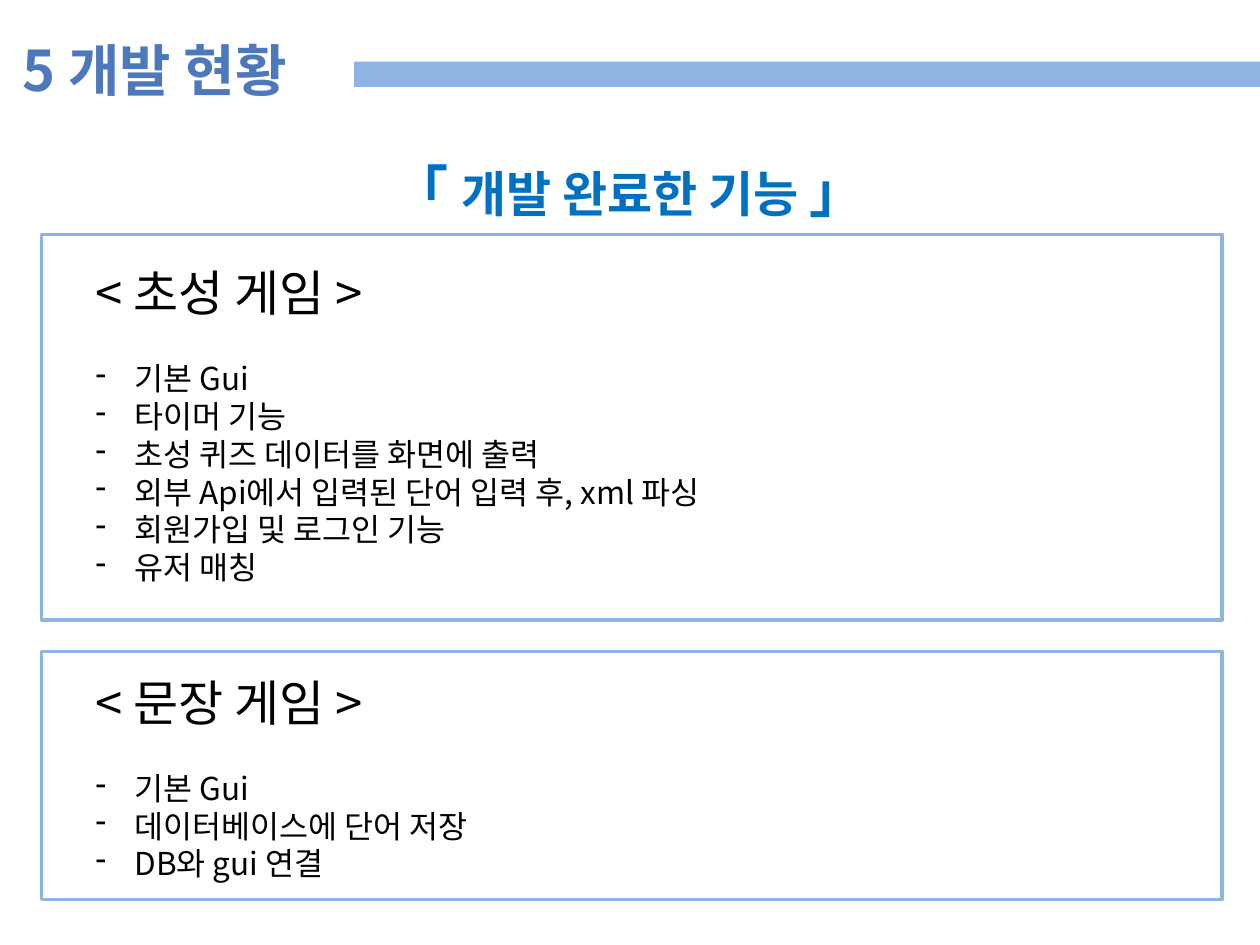
from pptx import Presentation
from pptx.dml.color import RGBColor
from pptx.enum.shapes import MSO_SHAPE
from pptx.enum.text import PP_ALIGN
from pptx.oxml.ns import qn
from pptx.util import Inches, Pt
from lxml.etree import SubElement

FONT = "Noto Sans CJK KR"
WIDE, HIGH = 10, 7.5
EDGE, SPAN = 0.33, 9.37
PALE, BLUE, DEEP, BLACK = "8EB4E3", "4D79BC", "0070C0", "000000"
GAMES = [
    (1.86, 3.06, 0.17, "< 초성 게임 >", [
        "기본 Gui",
        "타이머 기능",
        "초성 퀴즈 데이터를 화면에 출력",
        "외부 Api에서 입력된 단어 입력 후, xml 파싱",
        "회원가입 및 로그인 기능",
        "유저 매칭",
    ]),
    (5.17, 1.97, 0.11, "< 문장 게임 >", [
        "기본 Gui",
        "데이터베이스에 단어 저장",
        "DB와 gui 연결",
    ]),
]


def paint(hue):
    return RGBColor.from_string(hue)


def rect(slide, x, y, w, h, fill=None, line=None):
    box = slide.shapes.add_shape(
        MSO_SHAPE.RECTANGLE, Inches(x), Inches(y), Inches(w), Inches(h))
    box.shadow.inherit = False
    if fill:
        box.fill.solid()
        box.fill.fore_color.rgb = paint(fill)
    else:
        box.fill.background()
    if line:
        box.line.color.rgb = paint(line)
        box.line.width = Pt(2)
    else:
        box.line.fill.background()


def frame(slide, x, y, w, h, wrap=True):
    box = slide.shapes.add_textbox(Inches(x), Inches(y), Inches(w), Inches(h))
    box.text_frame.word_wrap = wrap
    return box.text_frame


def write(para, text, size=18, hue=BLACK, bold=False):
    run = para.add_run()
    run.text = text
    font = run.font
    font.size, font.bold, font.name = Pt(size), bold, FONT
    font.color.rgb = paint(hue)
    SubElement(run.font._element, qn("a:ea"), typeface=FONT)


def dash(para):
    props = para._p.get_or_add_pPr()
    props.set("marL", str(Inches(0.31)))
    props.set("indent", str(Inches(-0.31)))
    SubElement(props, qn("a:buChar"), char="-")


def panel(slide, top, high, drop, name, items):
    body = frame(slide, EDGE * 2, top + drop, SPAN - EDGE * 2, high - drop * 2)
    head = body.paragraphs[0]
    head.line_spacing = Pt(34)
    write(head, name, size=28)
    for i, item in enumerate(items):
        para = body.add_paragraph()
        dash(para)
        para.line_spacing = Pt(21.6)
        if i == 0:
            para.space_before = Pt(21.6)
        write(para, item)
    rect(slide, EDGE, top, SPAN, high, line=PALE)


def main():
    deck = Presentation()
    deck.slide_width, deck.slide_height = Inches(WIDE), Inches(HIGH)
    slide = deck.slides.add_slide(deck.slide_layouts[6])

    rect(slide, 2.81, 0.49, WIDE - 2.81, 0.2, fill=PALE)
    title = frame(slide, 0.08, 0.23, 2.57, 0.64, wrap=False).paragraphs[0]
    title.line_spacing = Pt(38.4)
    write(title, "5 개발 현황", size=32, hue=BLUE, bold=True)

    theme = frame(slide, 2.91, 0.92, 4.17, 0.91).paragraphs[0]
    theme.alignment = PP_ALIGN.CENTER
    theme.line_spacing = Pt(58)
    for text, size in [("「 ", 32), ("개발 완료한 기능 ", 28), ("」", 32)]:
        write(theme, text, size=size, hue=DEEP, bold=True)

    for game in GAMES:
        panel(slide, *game)
    deck.save("out.pptx")


if __name__ == "__main__":
    main()
